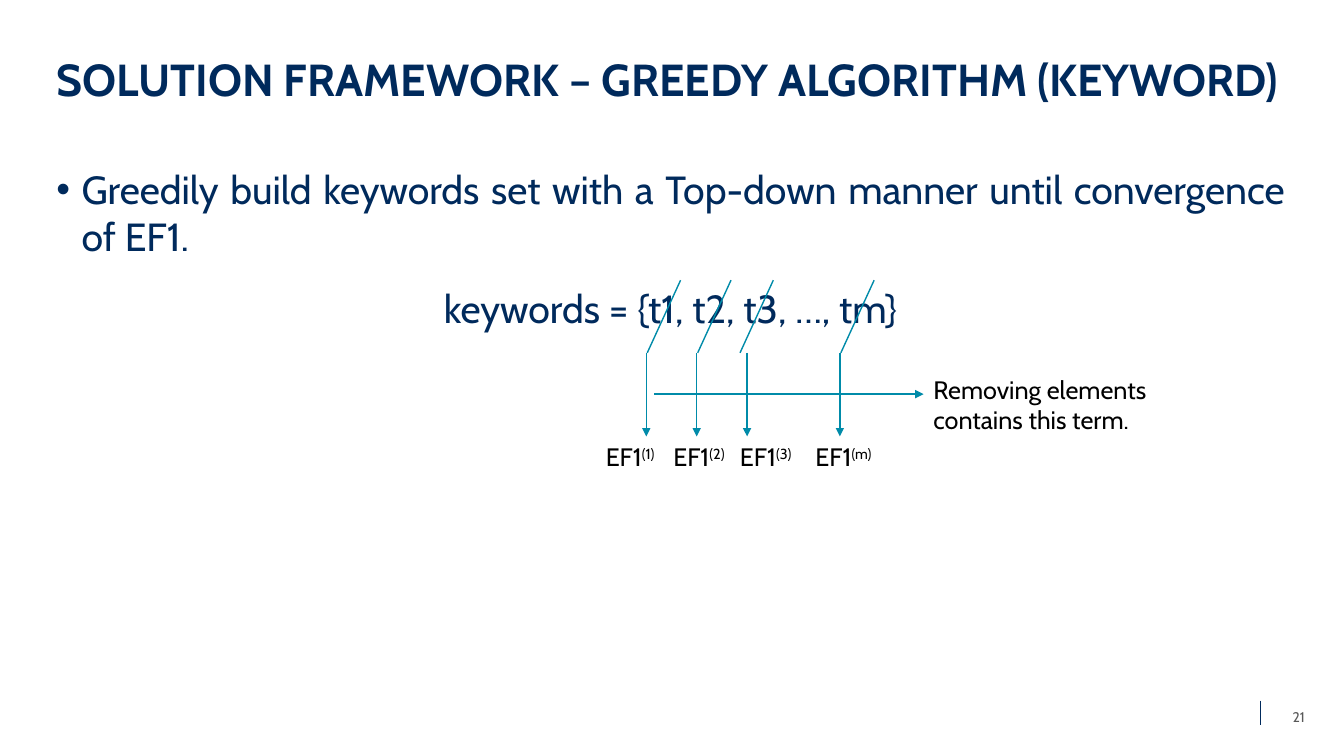
from lxml import etree
from pptx import Presentation
from pptx.dml.color import RGBColor
from pptx.enum.shapes import MSO_CONNECTOR
from pptx.enum.text import MSO_ANCHOR, MSO_AUTO_SIZE, PP_ALIGN
from pptx.oxml.ns import qn
from pptx.util import Inches, Pt

NAVY = RGBColor(0x00, 0x2A, 0x5C)
TEAL = RGBColor(0x00, 0x8B, 0xA9)
GRAY = RGBColor(0x59, 0x59, 0x59)
BLACK = RGBColor(0x00, 0x00, 0x00)
FONT = "Cabin"
STRAIGHT = MSO_CONNECTOR.STRAIGHT
LEFT, CENTER, JUSTIFY = PP_ALIGN.LEFT, PP_ALIGN.CENTER, PP_ALIGN.JUSTIFY
MIDDLE, TOP = MSO_ANCHOR.MIDDLE, MSO_ANCHOR.TOP
NO_FIT = MSO_AUTO_SIZE.NONE


def place(shape, left, top, width, height):
    shape.left, shape.top = Inches(left), Inches(top)
    shape.width, shape.height = Inches(width), Inches(height)


def add_run(p, text, size, color, bold=False):
    r = p.add_run()
    r.text = text
    r.font.name, r.font.size, r.font.bold = FONT, Pt(size), bold
    r.font.color.rgb = color
    return r


def set_bullet(p, char=None, indent=0.0):
    """Give the paragraph a hanging bullet, or none when char is missing."""
    pPr = p._p.get_or_add_pPr()
    pPr.set("marL", str(Inches(indent)))
    pPr.set("indent", str(-Inches(indent)))
    if char:
        etree.SubElement(pPr, qn("a:buFont"), typeface="Arial")
        etree.SubElement(pPr, qn("a:buChar"), char=char)
    else:
        etree.SubElement(pPr, qn("a:buNone"))


def add_line(s, start, end, color=TEAL, width=1, arrow=False):
    x1, y1, x2, y2 = (Inches(v) for v in (*start, *end))
    line = s.shapes.add_connector(STRAIGHT, x1, y1, x2, y2)
    line.line.color.rgb = color
    line.line.width = Pt(width)
    if arrow:
        etree.SubElement(line.line._get_or_add_ln(), qn("a:tailEnd"), type="triangle")
    etree.SubElement(line._element.spPr, qn("a:effectLst"))


def add_text_box(s, left, top, width, height):
    """Add a wrapping text box and return its text frame."""
    sp = s.shapes.add_textbox(*(Inches(v) for v in (left, top, width, height)))
    sp.text_frame.word_wrap = True
    return sp.text_frame


def add_title(s, left, top, width, height):
    sp = s.shapes.title
    place(sp, left, top, width, height)
    tf = sp.text_frame
    tf.auto_size, tf.vertical_anchor = NO_FIT, MIDDLE
    p = tf.paragraphs[0]
    p.alignment, p.line_spacing = LEFT, 0.9
    add_run(p, "SOLUTION FRAMEWORK – GREEDY ALGORITHM (KEYWORD)", 32, NAVY, True)


def add_body(s, left, top, width, height):
    sp = s.placeholders[1]
    place(sp, left, top, width, height)
    tf = sp.text_frame
    tf.auto_size, tf.vertical_anchor = NO_FIT, TOP

    p = tf.paragraphs[0]
    set_bullet(p, "•", 0.25)
    p.alignment, p.space_before = JUSTIFY, Pt(0)
    add_run(p, "Greedily build keywords set with a Top-down manner "
               "until convergence of EF1.", 28, NAVY)

    p = tf.add_paragraph()
    set_bullet(p)
    p.alignment, p.space_before = CENTER, Pt(18)
    add_run(p, "keywords = {t1, t2, t3, …, tm}", 28, NAVY)


def add_term_removal(s, left, top):
    """Strike each term, lead an arrow down to its score, and add the remark."""
    strike_h, arrow_h = 0.72, 0.83
    bend, tip = top + strike_h, top + strike_h + arrow_h
    # term, strike x, arrow x, label x, label width, relative to left
    terms = [
        ("1", 0.51, 0.5, 0, 0.75),
        ("2", 1.01, 1.0, 0.67, 0.75),
        ("3", 1.43, 1.5, 1.33, 0.75),
        ("m", 2.43, 2.42, 2.08, 0.83),
    ]
    for term, strike_x, arrow_x, label_x, label_w in terms:
        add_line(s, (left + strike_x + 0.33, top), (left + strike_x, bend))
        add_line(s, (left + arrow_x, bend), (left + arrow_x, tip), arrow=True)
        p = add_text_box(s, left + label_x, tip, label_w, 0.4).paragraphs[0]
        add_run(p, "EF1", 18, BLACK)
        r = add_run(p, f"({term})", 18, BLACK)
        r.font._element.set("baseline", "30000")

    remark_x, remark_y = left + 3.25, top + 1.13
    add_line(s, (left + 0.58, remark_y), (remark_x, remark_y), arrow=True)
    tf = add_text_box(s, remark_x, remark_y - 0.25, 3.17, 0.71)
    add_run(tf.paragraphs[0], "Removing elements contains this term.", 18, BLACK)


def add_page_number(s, left, top, width, height):
    add_line(s, (left - 0.14, top + 0.04), (left - 0.14, top + 0.28), NAVY, 0.5)
    tf = add_text_box(s, left, top, width, height)
    tf.vertical_anchor = MIDDLE
    p = tf.paragraphs[0]
    p.alignment = CENTER
    add_run(p, "21", 10, GRAY)


def main():
    prs = Presentation()
    prs.slide_width, prs.slide_height = Inches(13.33), Inches(7.5)
    s = prs.slides.add_slide(prs.slide_layouts[1])
    add_title(s, 0.46, 0.33, 12.38, 0.96)
    add_body(s, 0.46, 1.59, 12.38, 4.96)
    add_term_removal(s, 5.91, 2.78)
    add_page_number(s, 12.64, 6.91, 0.48, 0.4)
    prs.save("out.pptx")


if __name__ == "__main__":
    main()
